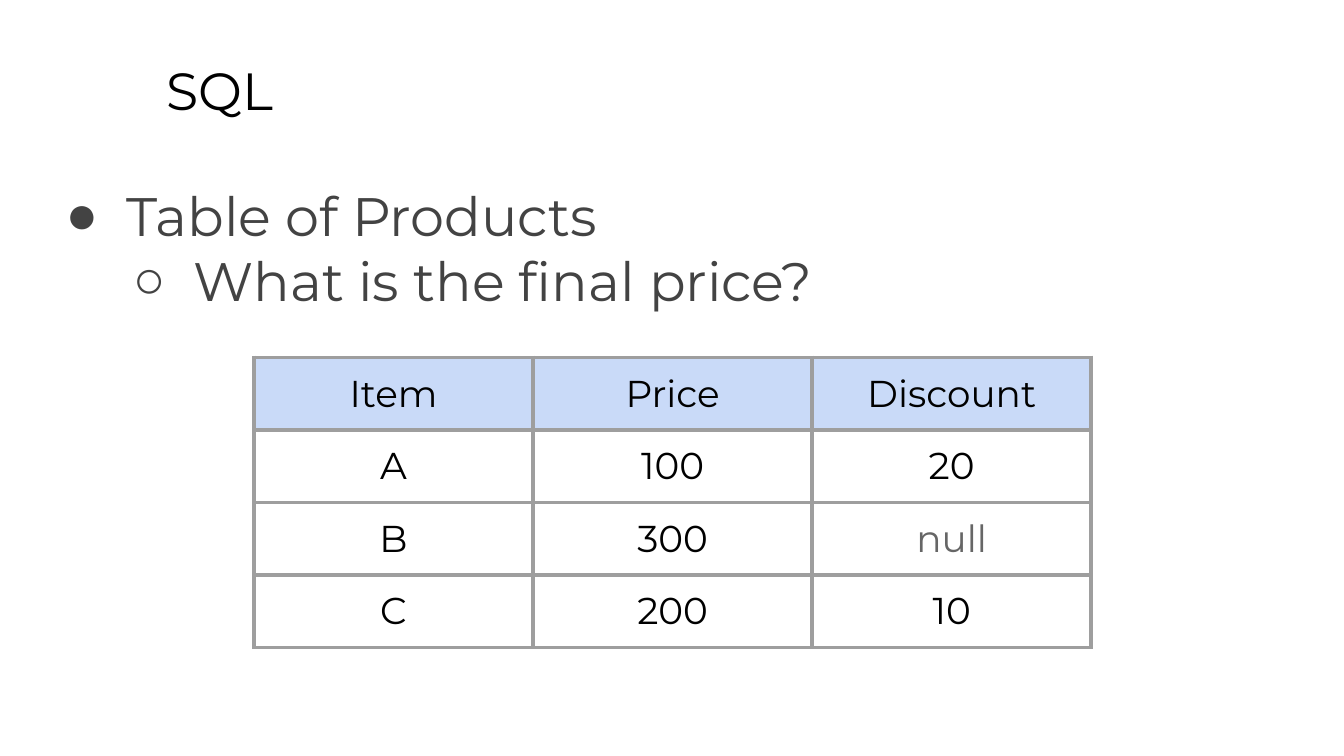
from lxml import etree
from pptx import Presentation, util as u
from pptx.dml.color import RGBColor
from pptx.enum import text
from pptx.oxml.ns import qn

C = {"black": "000000", "body": "434343", "muted": "666666",
     "header": "C9DAF8", "border": "9E9E9E"}
FONT = "Montserrat"

# Widescreen slide, 16:9
prs = Presentation()
prs.slide_width = u.Inches(10)
prs.slide_height = u.Inches(10 * 9 / 16)
s = prs.slides.add_slide(prs.slide_layouts[6])


def write(tf, content, size, color="black", align="LEFT", bullet=None, level=0):
    """Add one formatted paragraph, reusing the empty first one."""
    p = tf.paragraphs[0]
    if p.runs:
        p = tf.add_paragraph()
    p.alignment = getattr(text.PP_ALIGN, align)
    p.level = level
    r = p.add_run()
    r.text = content
    r.font.name, r.font.size = FONT, u.Pt(size)
    r.font.color.rgb = RGBColor.from_string(C[color])
    if bullet:
        pPr = p._p.get_or_add_pPr()
        pPr.set("marL", str(u.Inches(0.5 * (level + 1))))
        pPr.set("indent", str(u.Inches(-0.45)))
        clr = etree.SubElement(pPr, qn("a:buClr"))
        etree.SubElement(clr, qn("a:srgbClr"), val=C[color])
        etree.SubElement(pPr, qn("a:buFont"), typeface="Arial")
        etree.SubElement(pPr, qn("a:buChar"), char=bullet)


def add_box(left, top, width, height):
    """Add a wrapping text box with even margins; return its text frame."""
    sp = s.shapes.add_textbox(*[u.Inches(n) for n in (left, top, width, height)])
    tf = sp.text_frame
    tf.word_wrap = True
    tf.margin_left = tf.margin_right = tf.margin_top = tf.margin_bottom = u.Inches(0.1)
    return tf


# Title
write(add_box(1.14, 0.33, 8.52, 0.63), "SQL", size=28)

# Bullets
tf = add_box(0.34, 1.26, 9.5, 3.74)
write(tf, "Table of Products", size=29, color="body", bullet="●")
write(tf, "What is the final price?", size=29, color="body", bullet="○", level=1)

# Product table
rows = [("Item", "Price", "Discount"),
        ("A", "100", "20"),
        ("B", "300", "null"),
        ("C", "200", "10")]
table_w, row_h = 6.23, 0.54
table = s.shapes.add_table(
    len(rows), len(rows[0]), u.Inches(1.89), u.Inches(2.66),
    u.Inches(table_w), u.Inches(row_h * len(rows))).table
table.horz_banding = False

for i, row in enumerate(rows):
    for j, value in enumerate(row):
        cell = table.cell(i, j)
        cell.margin_left = cell.margin_right = u.Inches(0.1)
        cell.margin_top = cell.margin_bottom = u.Inches(0.1)
        write(cell.text_frame, value, size=20, align="CENTER",
              color="muted" if value == "null" else "black")

        # Borders come before the fill in the cell properties
        tcPr = cell._tc.get_or_add_tcPr()
        for side in ("lnL", "lnR", "lnT", "lnB"):
            ln = etree.SubElement(tcPr, qn("a:" + side), w=str(u.Pt(2.25)))
            fill = etree.SubElement(ln, qn("a:solidFill"))
            etree.SubElement(fill, qn("a:srgbClr"), val=C["border"])
        if i == 0:
            cell.fill.solid()
            cell.fill.fore_color.rgb = RGBColor.from_string(C["header"])
        else:
            cell.fill.background()

prs.save("out.pptx")
